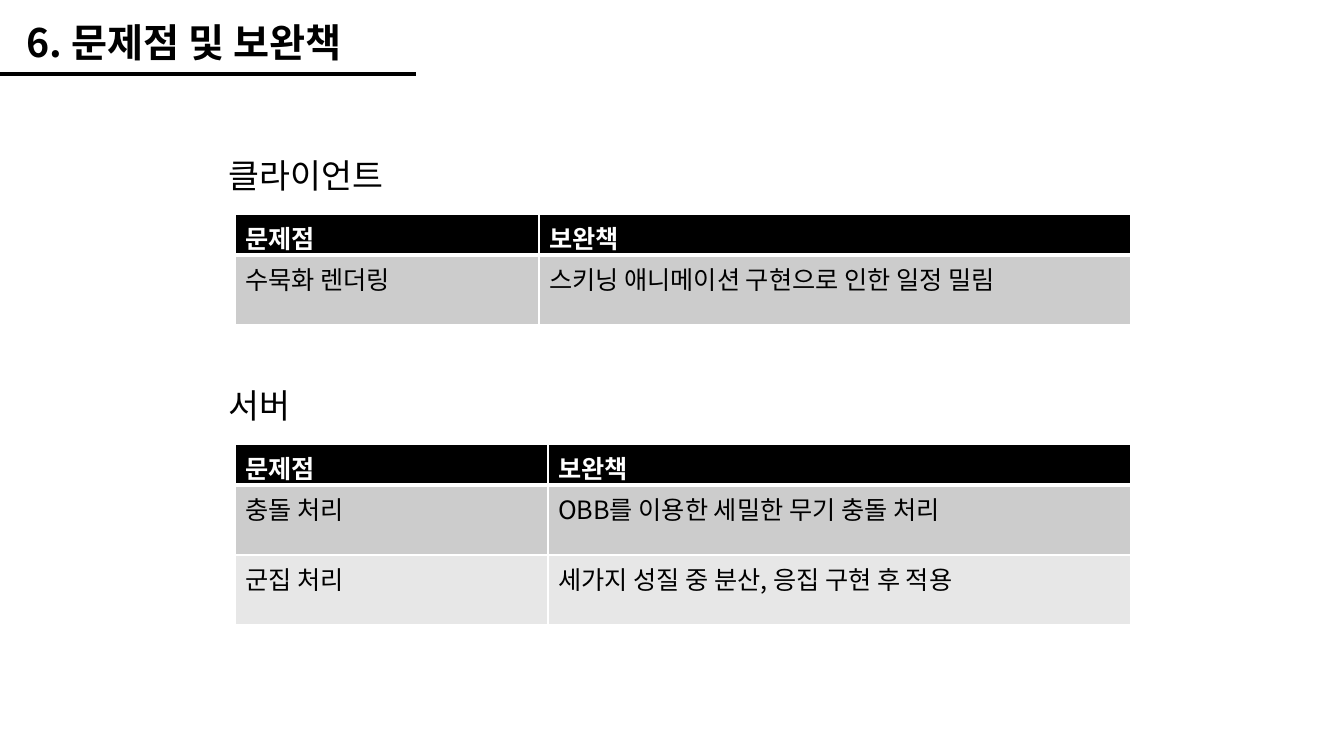
from lxml.etree import SubElement
from pptx import Presentation
from pptx.dml.color import RGBColor
from pptx.enum.shapes import MSO_CONNECTOR as Connector
from pptx.enum.text import MSO_ANCHOR as Anchor, MSO_AUTO_SIZE as AutoSize
from pptx.oxml import parse_xml
from pptx.oxml.ns import nsdecls, qn
from pptx.util import Emu, Pt

PX_PER_INCH = 100.8
FONT = "Noto Sans CJK KR"
BLACK, WHITE = "000000", "FFFFFF"
BANDS = ["CCCCCC", "E7E7E7"]
HEADINGS = ["문제점", "보완책"]
LEFT, HEADER_HEIGHT, ROW_HEIGHT = 235, 41, 70


def px(length):
    return Emu(round(length * 914400 / PX_PER_INCH))


def color(value):
    return RGBColor.from_string(value)


def apply(target, values):
    for name, value in values.items():
        setattr(target, name, value)


def write(frame, text, size, ink=BLACK, bold=False):
    span = frame.paragraphs[0].add_run()
    span.text = text
    apply(span.font, {"name": FONT, "size": Pt(size), "bold": bold})
    span.font.color.rgb = color(ink)
    SubElement(span.font._element, qn("a:ea"), typeface=FONT)


def add_label(page, text, left, top, width, height, size, bold=False):
    frame = page.shapes.add_textbox(*map(px, (left, top, width, height))).text_frame
    apply(frame, {"word_wrap": True, "auto_size": AutoSize.SHAPE_TO_FIT_TEXT})
    write(frame, text, size, bold=bold)


def add_rule(page, left, top, right, width):
    rule = page.shapes.add_connector(
        Connector.STRAIGHT, px(left), px(top), px(right), px(top))
    rule.line.width = Pt(width)
    rule.line.color.rgb = color(BLACK)
    SubElement(rule._element.spPr, qn("a:effectLst"))


def add_borders(cell, bottom, top):
    properties = cell._tc.get_or_add_tcPr()
    widths = {"lnL": 1, "lnR": 1, "lnT": top, "lnB": bottom}
    for index, (side, width) in enumerate(widths.items()):
        properties.insert(index, parse_xml(
            f'<a:{side} {nsdecls("a")} w="{Pt(width)}"><a:solidFill>'
            f'<a:srgbClr val="{WHITE}"/></a:solidFill></a:{side}>'))


def fill_cell(cell, text, row):
    header = row == 0
    cell.fill.solid()
    cell.fill.fore_color.rgb = color(BLACK if header else BANDS[(row - 1) % 2])
    apply(cell, {"vertical_anchor": Anchor.TOP, "margin_bottom": px(0 if header else 5)})
    add_borders(cell, bottom=3 if header else 1, top=3 if row == 1 else 1)
    write(cell.text_frame, text, 18, WHITE if header else BLACK, header)


def add_issue_table(page, top, widths, issues):
    rows = [HEADINGS, *issues]
    heights = [HEADER_HEIGHT] + [ROW_HEIGHT] * len(issues)
    table = page.shapes.add_table(
        len(rows), len(widths), px(LEFT), px(top), px(sum(widths)), px(sum(heights))).table
    for column, width in zip(table.columns, widths):
        column.width = px(width)
    for row, (texts, height) in enumerate(zip(rows, heights)):
        table.rows[row].height = px(height)
        for column, text in enumerate(texts):
            fill_cell(table.cell(row, column), text, row)


def add_section(page, title, top, widths, issues):
    add_label(page, title, 219, top, 367, 50, 24)
    add_issue_table(page, top + 64, widths, issues)


def main():
    deck = Presentation()
    apply(deck, {"slide_width": px(1344), "slide_height": px(756)})
    page = deck.slides.add_slide(deck.slide_layouts[6])
    add_rule(page, 0, 74, 416, 2.5)
    add_label(page, "6. 문제점 및 보완책", 17, 13, 391, 57, 28, bold=True)
    add_section(page, "클라이언트", 150, [304, 592], [
        ["수묵화 렌더링", "스키닝 애니메이션 구현으로 인한 일정 밀림"],
    ])
    add_section(page, "서버", 380, [313, 583], [
        ["충돌 처리", "OBB를 이용한 세밀한 무기 충돌 처리"],
        ["군집 처리", "세가지 성질 중 분산, 응집 구현 후 적용"],
    ])
    deck.save("out.pptx")


if __name__ == "__main__":
    main()
